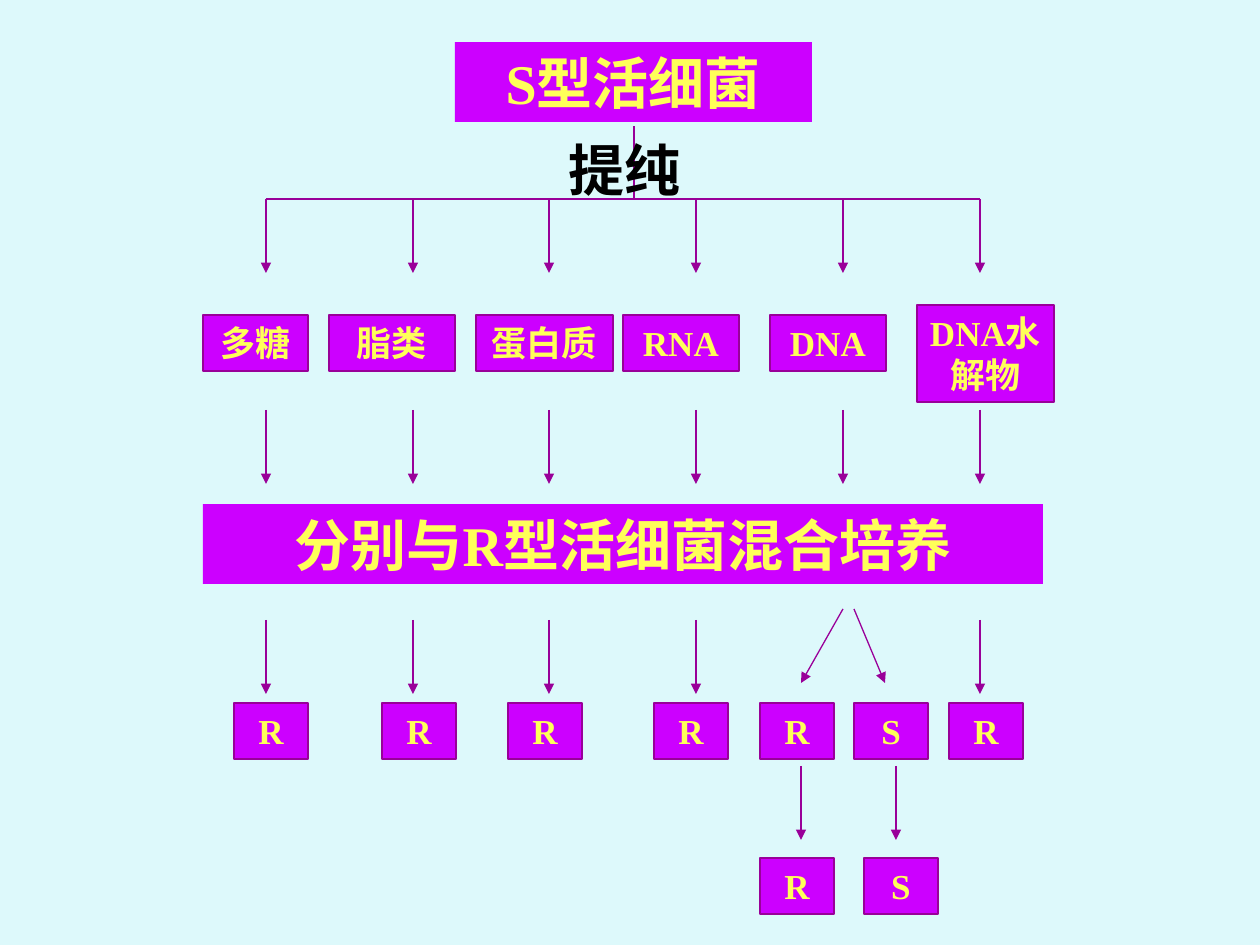
import pptx
import pptx.dml.color
import pptx.enum.shapes
import pptx.enum.text
import pptx.oxml.ns
import pptx.util
from lxml import etree

SCALE = 914400 / 126
FILL, LINE, YELLOW, BLACK, BACK = "CC00FF", "990099", "FFFF59", "000000", "DDF9FB"
COLUMNS = [63, 210, 346, 493, 640, 777]
DNA = 4
ARROW = 74
SMALL_H = 56
LARGE_H = 80


def emu(px):
    return round(px * SCALE)


def rgb(value):
    return pptx.dml.color.RGBColor.from_string(value)


def paint(fill, value):
    fill.solid()
    fill.fore_color.rgb = rgb(value)


def write(sp, text, size, color=YELLOW, align="CENTER", fit="SHAPE_TO_FIT_TEXT"):
    tf = sp.text_frame
    frame_format = {
        "word_wrap": True,
        "auto_size": pptx.enum.text.MSO_AUTO_SIZE[fit],
        "vertical_anchor": pptx.enum.text.MSO_ANCHOR.TOP,
    }
    for name, value in frame_format.items():
        setattr(tf, name, value)
    p = tf.paragraphs[0]
    p.alignment = pptx.enum.text.PP_ALIGN[align]
    p.space_before = pptx.util.Pt(0)
    p.line_spacing = 1.0
    r = p.add_run()
    r.text = text
    font_format = {"name": "Times New Roman", "size": pptx.util.Pt(size), "bold": True}
    for name, value in font_format.items():
        setattr(r.font, name, value)
    r.font.color.rgb = rgb(color)


def add_box(s, x, y, w, h, text, size=20, outline=True):
    kind = pptx.enum.shapes.MSO_SHAPE.RECTANGLE
    sp = s.shapes.add_shape(kind, *map(emu, (x, y, w, h)))
    sp.shadow.inherit = False
    paint(sp.fill, FILL)
    if outline:
        sp.line.color.rgb = rgb(LINE)
        sp.line.width = pptx.util.Pt(0.75)
    else:
        sp.line.fill.background()
    write(sp, text, size)


def add_line(s, x1, y1, x2, y2, arrow=True):
    kind = pptx.enum.shapes.MSO_CONNECTOR.STRAIGHT
    cn = s.shapes.add_connector(kind, *map(emu, (x1, y1, x2, y2)))
    cn.line.color.rgb = rgb(LINE)
    cn.line.width = pptx.util.Pt(0.75)
    qn = pptx.oxml.ns.qn
    if arrow:
        etree.SubElement(cn.get_or_add_ln(), qn("a:tailEnd"), type="triangle")
    etree.SubElement(cn._element.spPr, qn("a:effectLst"))


def add_arrows(s, x, y, offsets):
    for dx in offsets:
        add_line(s, x + dx, y, x + dx, y + ARROW)


def add_title(s, x, y, w, h):
    sp = s.shapes.title
    for name, value in zip(("left", "top", "width", "height"), (x, y, w, h)):
        setattr(sp, name, emu(value))
    paint(sp.fill, FILL)
    write(sp, "S型活细菌", 32, fit="NONE")


def add_purification(s, x, y, w, h):
    bar = y + h - ARROW
    add_line(s, x + COLUMNS[0], bar, x + COLUMNS[-1], bar, arrow=False)
    add_line(s, x + 431, y, x + 431, bar, arrow=False)
    add_arrows(s, x, bar, COLUMNS)
    sp = s.shapes.add_textbox(*map(emu, (x + 353, y + 3, 168, LARGE_H)))
    write(sp, "提纯", 32, BLACK, "LEFT")


def add_fractions(s, x, y, w, h):
    fractions = [("多糖", 0, 105), ("脂类", 126, 126), ("蛋白质", 273, 137),
                 ("RNA", 420, 116), ("DNA", 567, 116)]
    for text, dx, width in fractions:
        add_box(s, x + dx, y + 10, width, SMALL_H, text)
    add_box(s, x + 714, y, 137, 97, "DNA水解物")
    add_arrows(s, x, y + h - ARROW, COLUMNS)


def add_results(s, x, y, w, h):
    add_arrows(s, x, y + 11, [c for i, c in enumerate(COLUMNS) if i != DNA])
    start = x + COLUMNS[DNA]
    add_line(s, start, y, start - 42, y + ARROW)
    add_line(s, start + 11, y, start + 42, y + ARROW)
    first, last, width = y + 94, y + h - SMALL_H, 74
    for text, dx in zip("RRRRRSR", (31, 179, 305, 451, 557, 651, 746)):
        add_box(s, x + dx, first, width, SMALL_H, text)
    add_arrows(s, x, y + 157, (598, 693))
    for text, dx in zip("RS", (557, 661)):
        add_box(s, x + dx, last, width, SMALL_H, text)


def main():
    prs = pptx.Presentation()
    prs.slide_width, prs.slide_height = emu(1260), emu(945)
    s = prs.slides.add_slide(prs.slide_layouts[5])
    paint(s.background.fill, BACK)
    add_title(s, 455, 42, 357, LARGE_H)
    add_purification(s, 203, 126, 840, 147)
    add_fractions(s, 203, 305, 851, 179)
    add_box(s, 203, 504, 840, LARGE_H, "分别与R型活细菌混合培养", 32, outline=False)
    add_results(s, 203, 609, 840, 305)
    prs.save("out.pptx")


if __name__ == "__main__":
    main()
